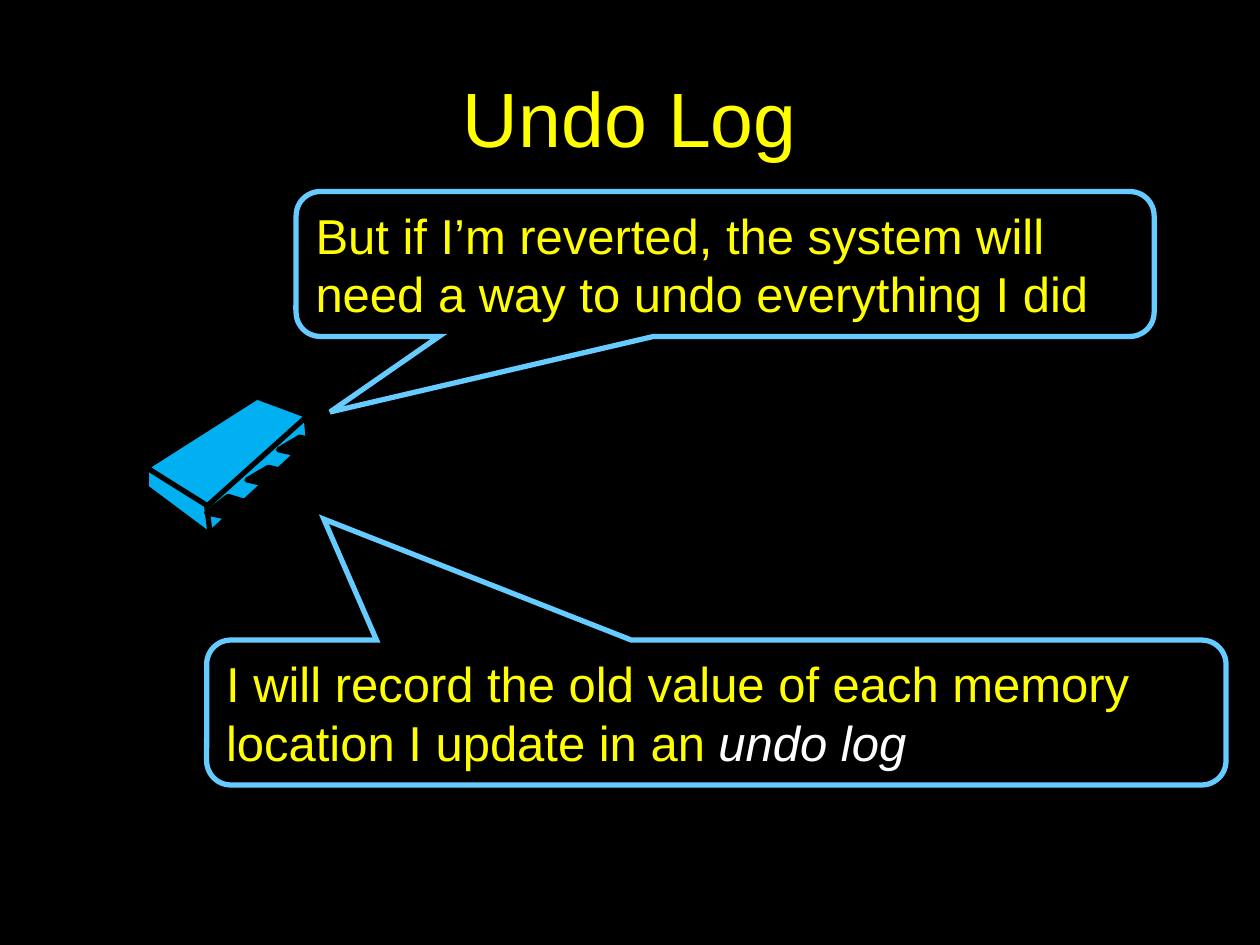
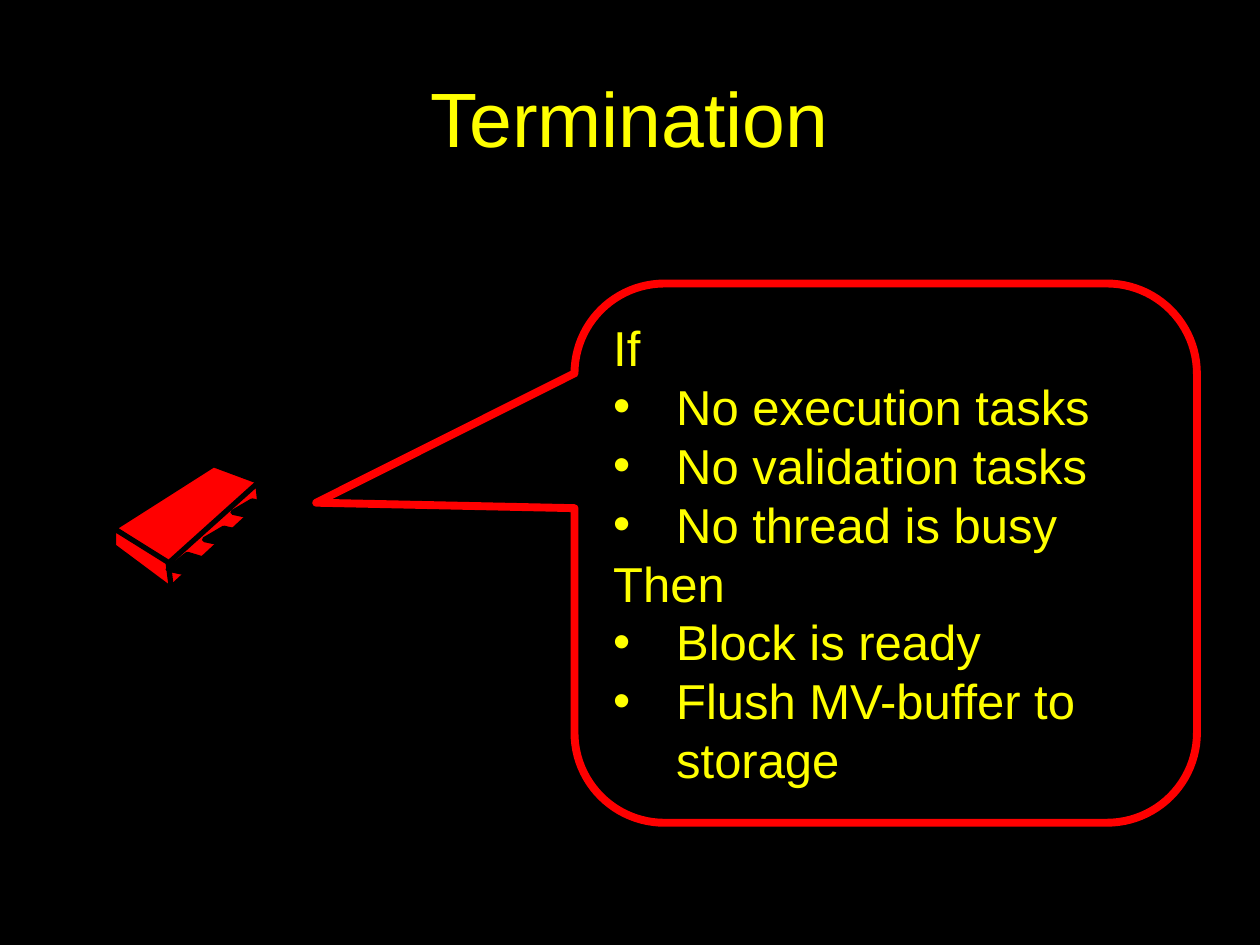
from dataclasses import dataclass

from lxml import etree
from pptx import Presentation
from pptx.dml.color import RGBColor
from pptx.enum.shapes import MSO_SHAPE
from pptx.enum.text import MSO_ANCHOR, PP_ALIGN
from pptx.oxml.ns import qn
from pptx.util import Pt

PX = 9144  # EMU per px, 100 px to the inch
CALLOUT = MSO_SHAPE.ROUNDED_RECTANGULAR_CALLOUT
MIDDLE = MSO_ANCHOR.MIDDLE
LEFT, CENTER = PP_ALIGN.LEFT, PP_ALIGN.CENTER


@dataclass(frozen=True)
class Theme:
    font: str = "Arial"
    title_size: int = 44
    body_size: int = 28
    background: str = "000000"
    text: str = "FFFF00"
    emphasis: str = "FFFFFF"
    sky: str = "66CCFF"
    blue: str = "00B0F0"
    red: str = "FF0000"


@dataclass(frozen=True)
class Box:
    left: int
    top: int
    width: int
    height: int

    def emu(self):
        return [PX * side for side in (self.left, self.top, self.width, self.height)]


THEME = Theme()
PAGE_BOX = Box(0, 0, 1000, 750)
BULLET_INDENT = 50

# Chip outlines, on a grid 152 units wide
CHIP_UNITS = 152
BACK_LEG = [(23, 8), (8, 0), (0, 8), (0, 55), (8, 47), (8, 16), (23, 24)]
FIRST_LEG = [(17, 0), (0, 13), (28, 19), (28, 56), (40, 44), (40, 7)]
FRONT_LEG = [(17, 0), (0, 10), (28, 16), (28, 47), (39, 37), (39, 5)]
BACK_LEG_SPOTS = [(58, 0), (0, 42), (35, 18)]
FRONT_LEG_SPOTS = [(88, 58), (113, 34)]
CHIP_FACES = [
    [(96, 2), (8, 58), (57, 91), (139, 18)],
    [(135, 18), (56, 89), (57, 112), (137, 38)],
    [(8, 58), (8, 74), (59, 112), (56, 88)],
]


def rgb(color):
    return RGBColor.from_string(color)


def add_bullet(para):
    properties = para._p.get_or_add_pPr()
    properties.set("marL", str(BULLET_INDENT * PX))
    properties.set("indent", str(-BULLET_INDENT * PX))
    etree.SubElement(properties, qn("a:buFont"), typeface=THEME.font)
    etree.SubElement(properties, qn("a:buChar"), char="•")


def write_text(frame, lines, size=THEME.body_size, color=THEME.text, align=LEFT):
    """Each line is a list of spans; "•" as first span makes it a bullet,
    and a span wrapped in asterisks is emphasised."""
    frame.word_wrap = True
    frame.vertical_anchor = MIDDLE
    for index, spans in enumerate(lines):
        para = frame.paragraphs[0] if index == 0 else frame.add_paragraph()
        para.alignment = align
        if spans[0] == "•":
            add_bullet(para)
            spans = spans[1:]
        for words in spans:
            emphasised = words.startswith("*")
            span = para.add_run()
            span.text = words.strip("*")
            span.font.name = THEME.font
            span.font.size = Pt(size)
            span.font.italic = emphasised
            span.font.color.rgb = rgb(THEME.emphasis if emphasised else color)


def paint(shape, fill, line, weight):
    shape.shadow.inherit = False
    shape.fill.solid()
    shape.fill.fore_color.rgb = rgb(fill)
    shape.line.color.rgb = rgb(line)
    shape.line.width = Pt(weight)


def add_page(deck, title):
    page = deck.slides.add_slide(deck.slide_layouts[6])
    page.background.fill.solid()
    page.background.fill.fore_color.rgb = rgb(THEME.background)
    title_box = page.shapes.add_textbox(*Box(50, 30, 900, 125).emu())
    write_text(title_box.text_frame, [[title]], size=THEME.title_size, align=CENTER)
    return page


def add_chip(page, box, color):
    group = page.shapes.add_group_shape()
    scale = PX * box.width / CHIP_UNITS

    def add_part(points, fill, spot=(0, 0)):
        placed = [(x + spot[0], y + spot[1]) for x, y in points]
        outline = group.shapes.build_freeform(*placed[0], scale=scale)
        outline.add_line_segments(placed[1:], close=True)
        part = outline.convert_to_shape(box.left * PX, box.top * PX)
        paint(part, fill, THEME.background, 3)

    for spot in BACK_LEG_SPOTS:
        add_part(BACK_LEG, THEME.background, spot)
    for face in CHIP_FACES:
        add_part(face, color)
    add_part(FIRST_LEG, THEME.background, (56, 81))
    for spot in FRONT_LEG_SPOTS:
        add_part(FRONT_LEG, THEME.background, spot)


def add_callout(page, box, tip, lines, color, weight=3, opacity=90, sharp=True):
    """The tip is given in px from the top left corner of the box."""
    bubble = page.shapes.add_shape(CALLOUT, *box.emu())
    bubble.adjustments[0] = tip[0] / box.width - 0.5
    bubble.adjustments[1] = tip[1] / box.height - 0.5
    bubble.adjustments[2] = 0.167
    paint(bubble, THEME.background, color, weight)
    if opacity < 100:
        fill_color = bubble._element.spPr.find(qn("a:solidFill"))[0]
        etree.SubElement(fill_color, qn("a:alpha"), val=str(opacity * 1000))
    outline = bubble.line._get_or_add_ln()
    if sharp:
        etree.SubElement(outline, qn("a:miter"), lim="800000")
    else:
        etree.SubElement(outline, qn("a:round"))
    write_text(bubble.text_frame, lines)


def build_undo_log(deck):
    page = add_page(deck, "Undo Log")
    add_chip(page, Box(108, 313, 152, 137), THEME.blue)
    # Remarks above and below the chip
    add_callout(page, Box(235, 152, 681, 115), (27, 175), [
        ["But if I’m reverted, the system will need a way to undo everything I did"],
    ], THEME.sky)
    add_callout(page, Box(164, 508, 809, 115), (93, -96), [
        ["I will record the old value of each memory location I update in an ",
         "*undo log*"],
    ], THEME.sky)


def build_termination(deck):
    page = add_page(deck, "Termination")
    add_chip(page, Box(83, 367, 137, 123), THEME.red)
    # Condition and outcome
    add_callout(page, Box(456, 225, 494, 428), (-205, 174), [
        ["If"],
        ["•", "No execution tasks"],
        ["•", "No validation tasks"],
        ["•", "No thread is busy"],
        ["Then"],
        ["•", "Block is ready"],
        ["•", "Flush MV-buffer to storage"],
    ], THEME.red, weight=4.5, opacity=100, sharp=False)


def main():
    deck = Presentation()
    deck.slide_width = PAGE_BOX.width * PX
    deck.slide_height = PAGE_BOX.height * PX
    build_undo_log(deck)
    build_termination(deck)
    deck.save("out.pptx")


if __name__ == "__main__":
    main()
